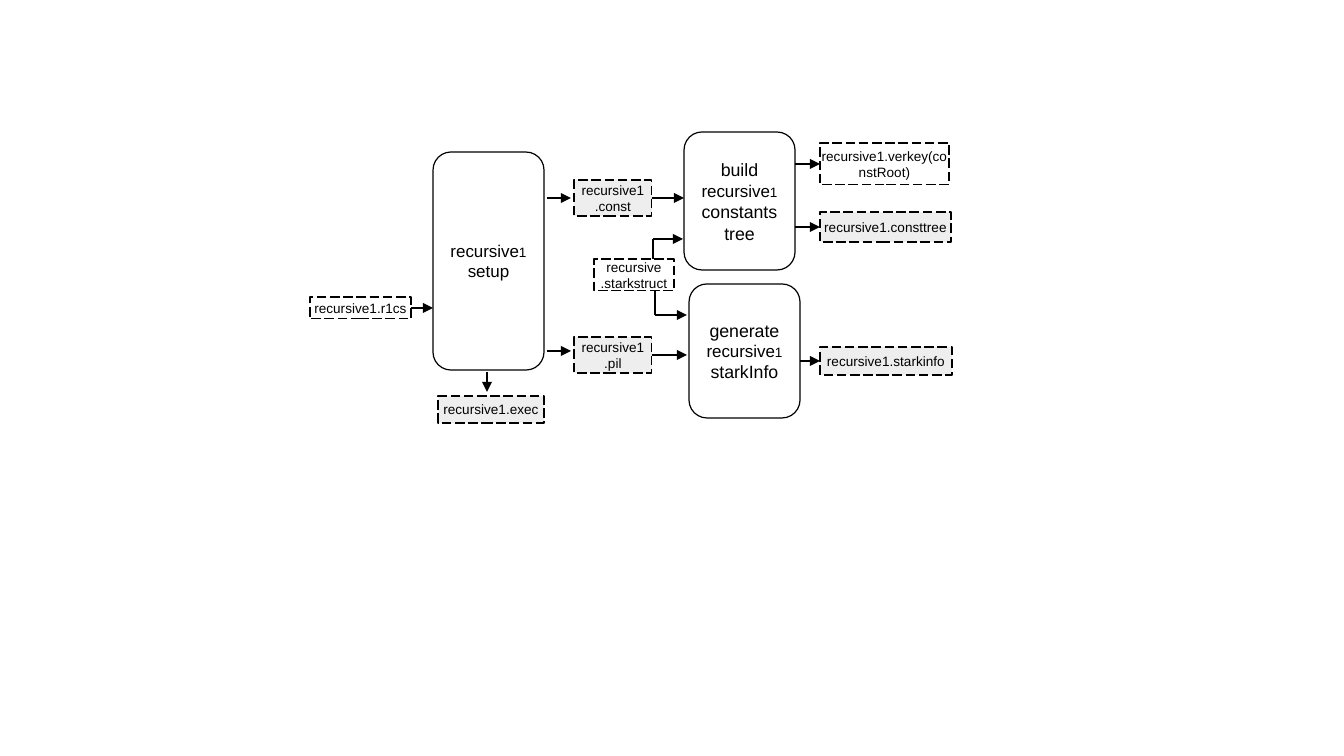
import lxml.etree
import pptx
import pptx.dml.color
import pptx.enum.dml
import pptx.enum.shapes
import pptx.enum.text
import pptx.oxml.ns
import pptx.util

EMU_PER_PX = 7495
TOP, LEFT, BOTTOM, RIGHT = range(4)


def px(length):
    return pptx.util.Emu(length * EMU_PER_PX)


def color(hex_string):
    return pptx.dml.color.RGBColor.from_string(hex_string)


class Diagram:
    font = "Arial"
    ink = "000000"
    white = "FFFFFF"
    grey = "EEEEEE"
    line_width = 0.71
    corner_radius = 18
    file_size = 8

    def __init__(self, slide):
        self.slide = slide

    def _box(self, preset, bounds, fill):
        box = self.slide.shapes.add_shape(preset, *map(px, bounds))
        box.shadow.inherit = False
        if fill:
            box.fill.solid()
            box.fill.fore_color.rgb = color(fill)
        else:
            box.fill.background()
        box.line.color.rgb = color(self.ink)
        box.line.width = pptx.util.Pt(self.line_width)
        box.text_frame.word_wrap = True
        box.text_frame.vertical_anchor = pptx.enum.text.MSO_ANCHOR.MIDDLE
        return box

    def _write(self, frame, paragraphs):
        """Each paragraph is a list of (text, size) runs."""
        for index, runs in enumerate(paragraphs):
            paragraph = frame.add_paragraph() if index else frame.paragraphs[0]
            paragraph.alignment = pptx.enum.text.PP_ALIGN.CENTER
            paragraph.font.name = self.font
            paragraph.font.color.rgb = color(self.ink)
            sizes = {size for _, size in runs}
            if len(sizes) == 1:
                paragraph.font.size = pptx.util.Pt(sizes.pop())
            for text, size in runs:
                run = paragraph.add_run()
                run.text = text
                if len(runs) > 1:
                    run.font.size = pptx.util.Pt(size)

    def process(self, bounds, paragraphs):
        box = self._box(pptx.enum.shapes.MSO_SHAPE.ROUNDED_RECTANGLE, bounds, self.white)
        box.adjustments[0] = self.corner_radius / min(bounds[2:])
        self._write(box.text_frame, paragraphs)
        return box

    def file(self, bounds, lines, fill=None):
        box = self._box(pptx.enum.shapes.MSO_SHAPE.RECTANGLE, bounds, fill)
        box.line.dash_style = pptx.enum.dml.MSO_LINE.LONG_DASH
        frame = box.text_frame
        frame.margin_left = frame.margin_right = frame.margin_top = frame.margin_bottom = 0
        self._write(frame, [[(line, self.file_size)] for line in lines])
        return box

    def link(self, start, end, source=None, target=None, arrow=True):
        """Draw a line; source and target are (box, side) pairs to join."""
        link = self.slide.shapes.add_connector(
            pptx.enum.shapes.MSO_CONNECTOR.STRAIGHT, *map(px, start + end))
        link.line.color.rgb = color(self.ink)
        link.line.width = pptx.util.Pt(self.line_width)
        if source:
            link.begin_connect(*source)
        if target:
            link.end_connect(*target)
        if arrow:
            lxml.etree.SubElement(link.line._get_or_add_ln(),
                                  pptx.oxml.ns.qn("a:tailEnd"), type="triangle")
        lxml.etree.SubElement(link._element.spPr, pptx.oxml.ns.qn("a:effectLst"))


def main():
    presentation = pptx.Presentation()
    presentation.slide_width = px(1344)
    presentation.slide_height = px(756)
    diagram = Diagram(presentation.slides.add_slide(presentation.slide_layouts[6]))

    recursive1 = [("recursive", 10), ("1", 8)]
    diagram.process((433, 152, 111, 218), [recursive1, [("setup", 10)]])
    diagram.process((689, 284, 111, 134),
                    [[("generate", 10.5)], recursive1, [("starkInfo", 10.5)]])
    diagram.process((684, 132, 111, 138),
                    [[("build", 10.5)], recursive1 + [(" constants tree", 10.5)]])

    r1cs = diagram.file((310, 297, 101, 22), ["recursive1.r1cs"])
    const = diagram.file((574, 180, 78, 36), ["recursive1", ".const"], diagram.grey)
    pil = diagram.file((574, 337, 78, 36), ["recursive1", ".pil"], diagram.grey)
    diagram.file((438, 396, 106, 27), ["recursive1.exec"], diagram.grey)
    diagram.file((594, 259, 80, 32), ["recursive", ".starkstruct"])
    verkey = diagram.file((820, 143, 129, 42), ["recursive1.verkey(constRoot)"], diagram.white)
    consttree = diagram.file((820, 212, 131, 30), ["recursive1.consttree"], diagram.grey)
    starkinfo = diagram.file((820, 347, 132, 28), ["recursive1.starkinfo"], diagram.grey)

    diagram.link((411, 308), (433, 308), source=(r1cs, RIGHT))
    diagram.link((547, 198), (571, 198))
    diagram.link((547, 351), (571, 351))
    diagram.link((487, 372), (487, 392))
    diagram.link((652, 198), (684, 198), source=(const, RIGHT))
    diagram.link((652, 355), (687, 355), source=(pil, RIGHT))
    diagram.link((795, 164), (820, 164), target=(verkey, LEFT))
    diagram.link((795, 227), (820, 227), target=(consttree, LEFT))
    diagram.link((800, 361), (820, 361), target=(starkinfo, LEFT))

    # The stark structure feeds both processes on the right
    for start, corner, end in (((653, 259), (653, 239), (683, 239)),
                               ((655, 291), (655, 315), (687, 315))):
        diagram.link(start, corner, arrow=False)
        diagram.link(corner, end)

    presentation.save("out.pptx")


if __name__ == "__main__":
    main()
